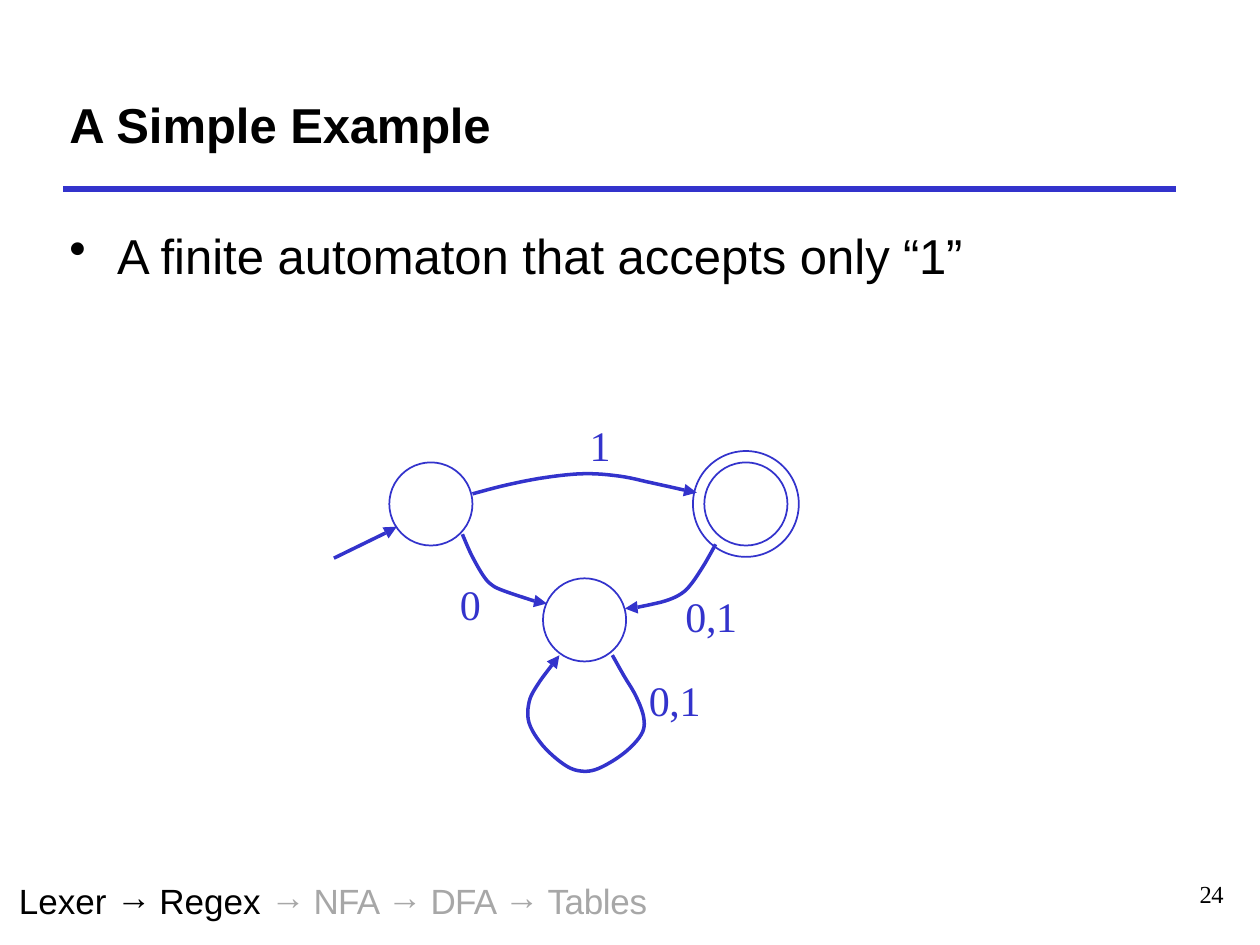
import math

import pptx
import pptx.dml.color
import pptx.enum.shapes
import pptx.oxml.xmlchemy
import pptx.util

Inches, Pt = pptx.util.Inches, pptx.util.Pt

THEME = {
    "ink": "000000", "accent": "3333CC", "muted": "A7A7A7",
    "sans": "Arial", "narrow": "Arial Narrow", "serif": "Times New Roman",
    "heading": 28, "label": 24, "trail": 20, "number": 14,
    "rule": 3, "edge": 2, "state": 1,
}

# Content: a run is (text, font, color, letter spacing in points)
TITLE = [("A Simple ", "sans", "ink", 0), ("Example", "sans", "ink", -0.1)]
BULLET = [("A finite automaton that accepts only ", "sans", "ink", 0),
          ("“1”", "sans", "ink", -0.2)]
TRAIL = [("Lexer", "ink", 0), ("Regex", "ink", 0), ("NFA", "muted", -0.4),
         ("DFA", "muted", -0.4), ("Tables", "muted", -0.2)]
PAGE = [("24", "serif", "ink", -0.2)]

# States: center x, center y, radii
STATES = [
    (5.92, 4.0, (0.33, 0.42)),
    (3.42, 4.0, (0.33,)),
    (4.64, 4.92, (0.33,)),
]

# Transitions: points the curve passes through, then the arrow tip
EDGES = [
    ([(3.75, 3.92), (4.02, 3.85), (4.33, 3.79), (4.64, 3.76), (4.92, 3.78),
      (5.16, 3.83), (5.43, 3.89)], (5.53, 3.91)),
    ([(2.65, 4.43), (3.06, 4.23)], (3.15, 4.18)),
    ([(5.68, 4.32), (5.59, 4.48), (5.49, 4.63), (5.41, 4.71), (5.28, 4.77),
      (5.06, 4.82)], (4.96, 4.83)),
    ([(4.86, 5.2), (4.95, 5.36), (5.05, 5.53), (5.11, 5.7), (5.09, 5.83),
      (4.95, 5.98), (4.75, 6.1), (4.61, 6.12), (4.48, 6.07), (4.31, 5.92),
      (4.2, 5.74), (4.2, 5.57), (4.27, 5.43), (4.38, 5.28)], (4.44, 5.2)),
    ([(3.67, 4.24), (3.74, 4.4), (3.83, 4.56), (3.9, 4.64), (4.0, 4.69),
      (4.24, 4.77)], (4.34, 4.79)),
]

# Labels: box, then paragraphs of (text, indent, space before, spacing)
LABELS = [
    ((4.67, 3.32, 0.19, 0.43), [("1", 0.01, 1, 0)]),
    ((5.14, 4.68, 0.73, 1.1), [("0,1", 0.3, 1, -0.2), ("0,1", 0.01, 19.2, -0.2)]),
    ((3.64, 4.58, 0.19, 0.43), [("0", 0.01, 1, 0)]),
]

HEAD_HALF_WIDTH = 0.05
CURVE_STEPS = 6

prs = pptx.Presentation()
prs.slide_width, prs.slide_height = Inches(10), Inches(7.5)
s = prs.slides.add_slide(prs.slide_layouts[6])


def color(name):
    return pptx.dml.color.RGBColor.from_string(THEME[name])


def outline(sp, width):
    sp.line.color.rgb = color("accent")
    sp.line.width = Pt(THEME[width])


def add_text(box, size, paragraphs, top=0.01):
    """Each paragraph is (runs, indent, space before)."""
    sp = s.shapes.add_textbox(*map(Inches, box))
    tf = sp.text_frame
    tf.word_wrap = True
    tf.margin_left = tf.margin_right = tf.margin_bottom = 0
    tf.margin_top = Inches(top)
    for i, (runs, indent, before) in enumerate(paragraphs):
        p = tf.add_paragraph() if i else tf.paragraphs[0]
        p.space_before = Pt(before)
        p._p.get_or_add_pPr().set("marL", str(Inches(indent)))
        for text, font, ink, spacing in runs:
            r = p.add_run()
            r.text = text
            r.font.name = THEME[font]
            r.font.size = Pt(THEME[size])
            r.font.color.rgb = color(ink)
            if spacing:
                r._r.get_or_add_rPr().set("spc", str(round(spacing * 100)))
    return tf


def add_line(start, end, width):
    sp = s.shapes.add_connector(pptx.enum.shapes.MSO_CONNECTOR.STRAIGHT,
                                *map(Inches, start + end))
    outline(sp, width)
    sp._element.spPr.append(pptx.oxml.xmlchemy.OxmlElement("a:effectLst"))


def add_path(points, close):
    pts = [(Inches(x), Inches(y)) for x, y in points]
    fb = s.shapes.build_freeform(*pts[0])
    fb.add_line_segments(pts[1:], close=close)
    sp = fb.convert_to_shape()
    sp.shadow.inherit = False
    return sp


def smooth_curve(points):
    """Sample a Catmull-Rom spline through the points."""
    padded = [points[0], *points, points[-1]]
    curve = [points[0]]
    for a, b, c, d in zip(padded, padded[1:], padded[2:], padded[3:]):
        for k in range(1, CURVE_STEPS + 1):
            t = k / CURVE_STEPS
            curve.append(tuple(
                0.5 * (2 * q + (r - p) * t + (2 * p - 5 * q + 4 * r - e) * t ** 2
                       + (3 * q - p - 3 * r + e) * t ** 3)
                for p, q, r, e in zip(a, b, c, d)))
    return curve


def add_arrowhead(base, tip):
    dx, dy = tip[0] - base[0], tip[1] - base[1]
    scale = HEAD_HALF_WIDTH / math.hypot(dx, dy)
    nx, ny = -dy * scale, dx * scale
    sp = add_path([tip, (base[0] + nx, base[1] + ny),
                   (base[0] - nx, base[1] - ny)], close=True)
    sp.fill.solid()
    sp.fill.fore_color.rgb = color("accent")
    sp.line.fill.background()


# Heading and rule
add_line((0.5, 1.5), (9.33, 1.5), "rule")
title = add_text((0.54, 0.74, 3.39, 0.49), "heading", [(TITLE, 0.01, 1)])
for r in title.paragraphs[0].runs:
    r.font.bold = True

# Bullet
body = add_text((0.54, 1.78, 7.13, 0.49), "heading", [(BULLET, 0.39, 1)])
pPr = body.paragraphs[0]._p.get_or_add_pPr()
pPr.set("indent", str(Inches(-0.38)))
bullet = pptx.oxml.xmlchemy.OxmlElement("a:buChar")
bullet.set("char", "•")
pPr.append(bullet)

# States
for x, y, radii in STATES:
    for radius in radii:
        sp = s.shapes.add_shape(
            pptx.enum.shapes.MSO_SHAPE.OVAL, Inches(x - radius),
            Inches(y - radius), Inches(2 * radius), Inches(2 * radius))
        sp.shadow.inherit = False
        sp.fill.background()
        outline(sp, "state")

# Transitions
for points, tip in EDGES:
    if len(points) == 2:
        add_line(*points, "edge")
    else:
        sp = add_path(smooth_curve(points), close=False)
        sp.fill.background()
        outline(sp, "edge")
    add_arrowhead(points[-1], tip)

# Transition labels
for box, lines in LABELS:
    add_text(box, "label", [([(text, "serif", "accent", spacing)], indent, before)
                            for text, indent, before, spacing in lines])

# Progress trail: each arrow takes the color of the step it leads to
trail = []
for i, (step, ink, spacing) in enumerate(TRAIL):
    if i:
        trail.append(("→ ", "narrow", ink, 0))
    gap = " " if i < len(TRAIL) - 1 else ""
    trail.append((step + gap, "sans", ink, spacing))
add_text((0.14, 6.98, 5.1, 0.36), "trail", [(trail, 0.01, 0.3)], top=0)

# Slide number
number = add_text((9.48, 6.98, 0.29, 0.24), "number", [(PAGE, 0.04, 0)], top=0)
number.paragraphs[0].line_spacing = Pt(16.3)

prs.save("out.pptx")
